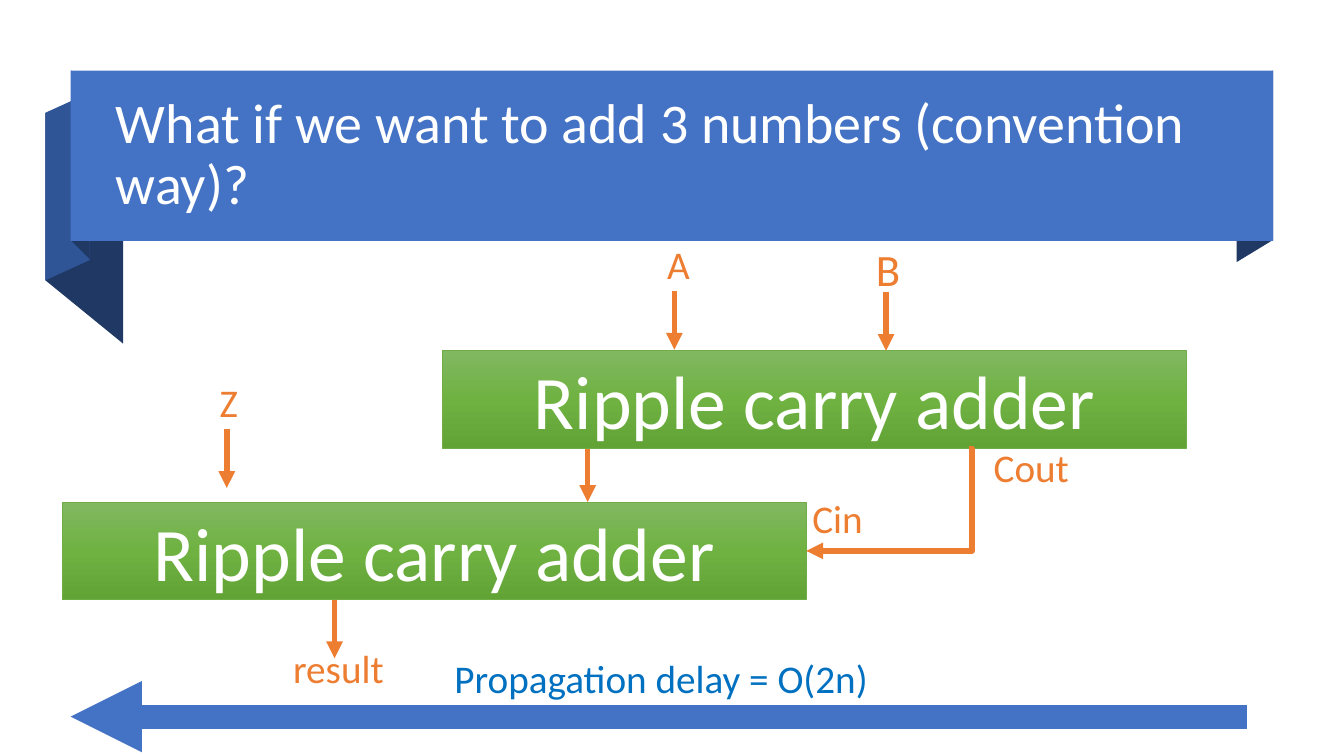
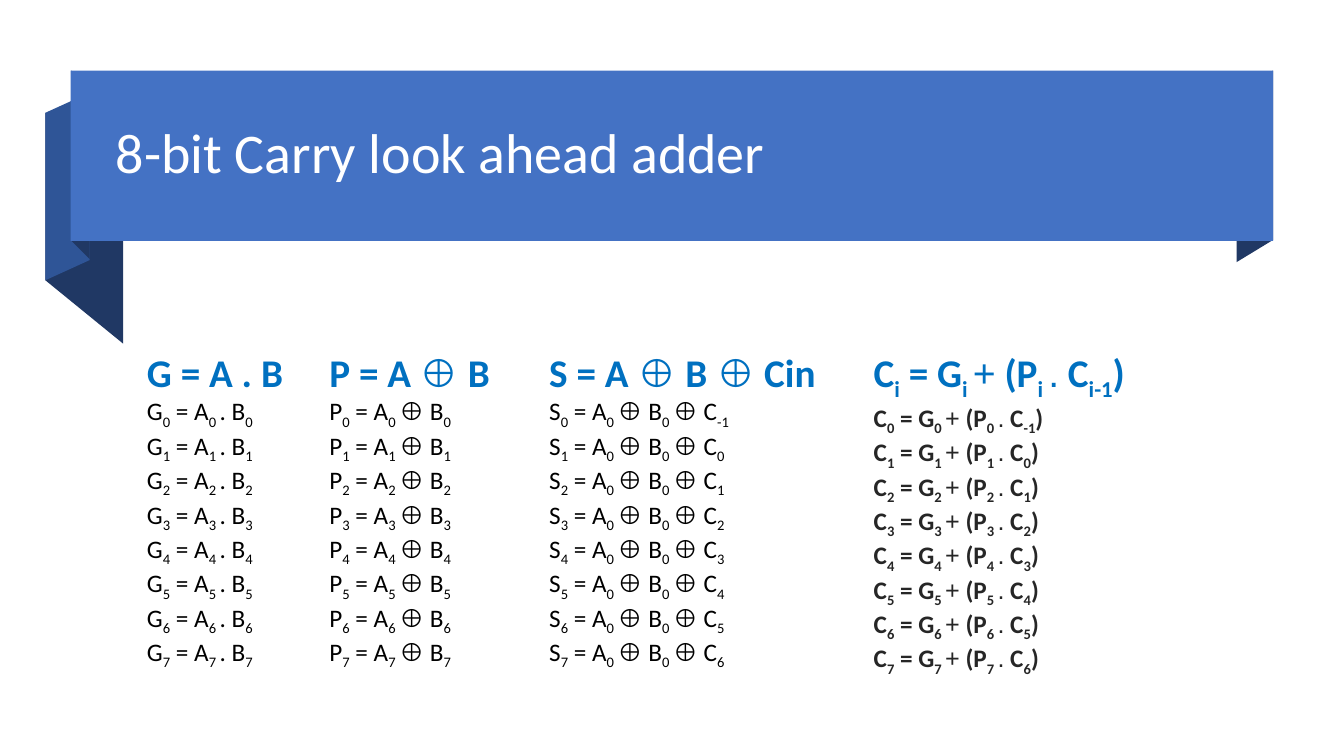
"""Build two slides on ripple carry and carry look ahead adders."""
import copy
import itertools
from dataclasses import dataclass

import pptx
import pptx.dml.color
import pptx.enum.shapes
import pptx.enum.text
import pptx.oxml
import pptx.oxml.ns
import pptx.shapes.autoshape
import pptx.shapes.connector
import pptx.slide
import pptx.util
from lxml import etree

Pt = pptx.util.Pt
qn = pptx.oxml.ns.qn
MSO_SHAPE = pptx.enum.shapes.MSO_SHAPE
MSO_CONNECTOR = pptx.enum.shapes.MSO_CONNECTOR
PP_ALIGN = pptx.enum.text.PP_ALIGN
MSO_ANCHOR = pptx.enum.text.MSO_ANCHOR

FONT, SYMBOL_FONT = "Calibri", "Arial"
WHITE, BLACK, CHARCOAL = "FFFFFF", "000000", "262626"
BLUE, MID_BLUE, NAVY, TEXT_BLUE = "4472C4", "2F5597", "203864", "0070C0"
ORANGE, GREEN = "ED7D31", "70AD47"
GREEN_STOPS = ((0, "81B861"), (0.5, "6FB242"), (1, "62A336"))
ADDER_W, ADDER_H = 531.4, 69.8
BITS = 8


@dataclass(frozen=True)
class Fold:
    """A folded part of the title ribbon."""
    color: str
    points: tuple[tuple[float, float], ...]


@dataclass(frozen=True)
class Label:
    """A short text beside the diagram."""
    text: str
    x: float
    y: float
    w: float
    h: float = 41
    size: float = 28
    color: str = ORANGE


@dataclass(frozen=True)
class Arrow:
    """An arrow from one point to another."""
    x1: float
    y1: float
    x2: float
    y2: float
    color: str = ORANGE
    width: float = 4
    kind: MSO_CONNECTOR = MSO_CONNECTOR.STRAIGHT


@dataclass(frozen=True)
class Column:
    """Equations where every second part between bars is a subscript."""
    x: float
    w: float
    heading: str
    row: str
    symbols: str = "⊕"
    color: str = BLACK
    bold: bool = False


FOLDS = (
    Fold(NAVY, ((88, 245.5), (32.4, 200.2), (32.4, 80.6), (88, 126))),
    Fold(MID_BLUE, ((64, 185.8), (32.4, 200.2), (32.4, 80.6), (64, 66.2))),
    Fold(NAVY, ((64, 185), (51, 172), (51, 50.4), (64, 64))),
    Fold(NAVY, ((909.4, 171.4), (883.4, 187.2), (883.4, 65.5), (909.4, 50.4))),
)
ADDERS = ((316.1, 250.6), (44.6, 358.6))
ARROWS = (
    Arrow(481.7, 208, 481.7, 249.8),
    Arrow(632.9, 208.8, 632.9, 250.6),
    Arrow(162, 306.7, 162, 348.5),
    Arrow(419.8, 320.4, 419.8, 358.6),
    Arrow(239, 428.4, 239, 470.2),
    Arrow(890.6, 511.9, 50.4, 511.9, BLUE, 17),
)
CARRY = Arrow(692, 320.4, 576, 393.5, kind=MSO_CONNECTOR.ELBOW)
LABELS = (
    Label("A", 469.4, 167.8, 16.6),
    Label("B", 618.5, 169.2, 21.6, 46, 32),
    Label("Z", 149.8, 266.4, 16.6),
    Label("Propagation delay = O(2n)", 317.5, 463.7, 327.6, color=TEXT_BLUE),
    Label("result", 202.3, 456.5, 90.7),
    Label("Cout", 702.7, 313.2, 75.6),
    Label("Cin", 573.1, 349.2, 75.6),
)
CARRY_ROW = "C|{i}| = G|{i} |+ (P|{i} |. C|{j}|)"
COLUMNS = (
    Column(97.9, 116.6, "G = A . B", "G|{i}| = A|{i} |. B|{i}"),
    Column(228.2, 130.3, "P = A ⊕ B", "P|{i}| = A|{i} |⊕ B|{i}"),
    Column(385.2, 208.1, "S = A ⊕ B ⊕ Cin", "S|{i}| = A|0 |⊕ B|0 |⊕ C|{j}"),
    Column(617, 208.1, CARRY_ROW.format(i="i", j="i-1"), CARRY_ROW, "+.", CHARCOAL, True),
)


def rgb(color: str) -> pptx.dml.color.RGBColor:
    """Turn a hex string into a colour."""
    return pptx.dml.color.RGBColor.from_string(color)


def style(r, size: float, color: str, bold: bool = False, name: str = FONT) -> None:
    """Set the font of a run."""
    r.font.name, r.font.size, r.font.bold = name, Pt(size), bold
    r.font.color.rgb = rgb(color)


def fill_flat(sp: pptx.shapes.autoshape.Shape, color: str) -> None:
    """Give a shape a plain fill without line or shadow."""
    sp.shadow.inherit = False
    sp.fill.solid()
    sp.fill.fore_color.rgb = rgb(color)
    sp.line.fill.background()


def add_ribbon_slide(prs, title: str) -> pptx.slide.Slide:
    """Add a slide with its title on a folded ribbon."""
    s = prs.slides.add_slide(prs.slide_layouts[5])
    for fold in FOLDS:
        points = [(Pt(x), Pt(y)) for x, y in fold.points]
        outline = s.shapes.build_freeform(*points[0])
        outline.add_line_segments(points[1:], close=True)
        fill_flat(outline.convert_to_shape(), fold.color)
    band = s.shapes.add_shape(MSO_SHAPE.RECTANGLE, Pt(50.4), Pt(50.4), Pt(859), Pt(121.7))
    fill_flat(band, BLUE)
    sp = s.shapes.title
    sp.left, sp.top, sp.width, sp.height = Pt(75.6), Pt(63.4), Pt(808.6), Pt(95.8)
    sp.element.getparent().append(sp.element)
    tf = sp.text_frame
    tf.text = title
    tf.word_wrap = True
    tf.auto_size = pptx.enum.text.MSO_AUTO_SIZE.NONE
    tf.vertical_anchor = MSO_ANCHOR.MIDDLE
    p = tf.paragraphs[0]
    p.alignment, p.line_spacing = PP_ALIGN.LEFT, 0.9
    style(p.runs[0], 40, WHITE)
    return s


def add_adder(s: pptx.slide.Slide, x: float, y: float) -> None:
    """Draw an adder block with a green gradient."""
    sp = s.shapes.add_shape(MSO_SHAPE.RECTANGLE, Pt(x), Pt(y), Pt(ADDER_W), Pt(ADDER_H))
    sp.shadow.inherit = False
    sp.fill.gradient()
    sp.fill.gradient_angle = 270
    stops = sp.element.spPr.find(".//" + qn("a:gsLst"))
    stops.insert(1, copy.deepcopy(stops[0]))
    for stop, (position, color) in zip(sp.fill.gradient_stops, GREEN_STOPS):
        stop.position = position
        stop.color.rgb = rgb(color)
    sp.line.color.rgb = rgb(GREEN)
    sp.line.width = Pt(0.5)
    tf = sp.text_frame
    tf.text = "Ripple carry adder"
    tf.vertical_anchor = MSO_ANCHOR.MIDDLE
    tf.paragraphs[0].alignment = PP_ALIGN.CENTER
    style(tf.paragraphs[0].runs[0], 54, WHITE)


def add_arrow(s: pptx.slide.Slide, arrow: Arrow) -> pptx.shapes.connector.Connector:
    """Draw an arrow with a triangular head."""
    ends = (Pt(v) for v in (arrow.x1, arrow.y1, arrow.x2, arrow.y2))
    sp = s.shapes.add_connector(arrow.kind, *ends)
    sp.line.color.rgb = rgb(arrow.color)
    sp.line.width = Pt(arrow.width)
    spPr = sp._element.spPr
    etree.SubElement(spPr.find(qn("a:ln")), qn("a:tailEnd"), type="triangle")
    etree.SubElement(spPr, qn("a:effectLst"))
    return sp


def add_carry(s: pptx.slide.Slide) -> None:
    """Draw the bent arrow from carry out to carry in."""
    sp = add_arrow(s, CARRY)
    guides = sp._element.spPr.find(".//" + qn("a:avLst"))
    etree.SubElement(guides, qn("a:gd"), name="adj1", fmla="val -2100")


def add_text_box(s: pptx.slide.Slide, x: float, y: float, w: float, h: float):
    """Add a wrapping text box and return its text frame."""
    tf = s.shapes.add_textbox(Pt(x), Pt(y), Pt(w), Pt(h)).text_frame
    tf.word_wrap = True
    return tf


def add_label(s: pptx.slide.Slide, label: Label) -> None:
    """Write a label of the diagram."""
    tf = add_text_box(s, label.x, label.y, label.w, label.h)
    tf.text = label.text
    style(tf.paragraphs[0].runs[0], label.size, label.color)


def write_equation(p, text: str, symbols: str, size: float, color: str, bold: bool) -> None:
    """Write an equation with subscripts and operator symbols."""
    for n, part in enumerate(text.split("|")):
        for is_symbol, chars in itertools.groupby(part, lambda c: c in symbols):
            r = p.add_run()
            r.text = "".join(chars)
            style(r, size, color, bold and not is_symbol, SYMBOL_FONT if is_symbol else FONT)
            if n % 2:
                r.font._element.set("baseline", "-25000")


def add_column(s: pptx.slide.Slide, column: Column) -> None:
    """Write a heading and one equation for each bit."""
    tf = add_text_box(s, column.x, 245.5, column.w, 237.6)
    write_equation(tf.paragraphs[0], column.heading, column.symbols, 28, TEXT_BLUE, True)
    for i in range(BITS):
        row = column.row.format(i=i, j=i - 1)
        write_equation(tf.add_paragraph(), row, column.symbols, 18, column.color, column.bold)


def main() -> None:
    """Build and save the presentation."""
    prs = pptx.Presentation()
    prs.slide_width, prs.slide_height = Pt(960), Pt(540)

    s = add_ribbon_slide(prs, "What if we want to add 3 numbers (convention way)?")
    for x, y in ADDERS:
        add_adder(s, x, y)
    for arrow in ARROWS:
        add_arrow(s, arrow)
    add_carry(s)
    for label in LABELS:
        add_label(s, label)

    s = add_ribbon_slide(prs, "8-bit Carry look ahead adder")
    for column in COLUMNS:
        add_column(s, column)

    prs.save("out.pptx")


if __name__ == "__main__":
    main()
